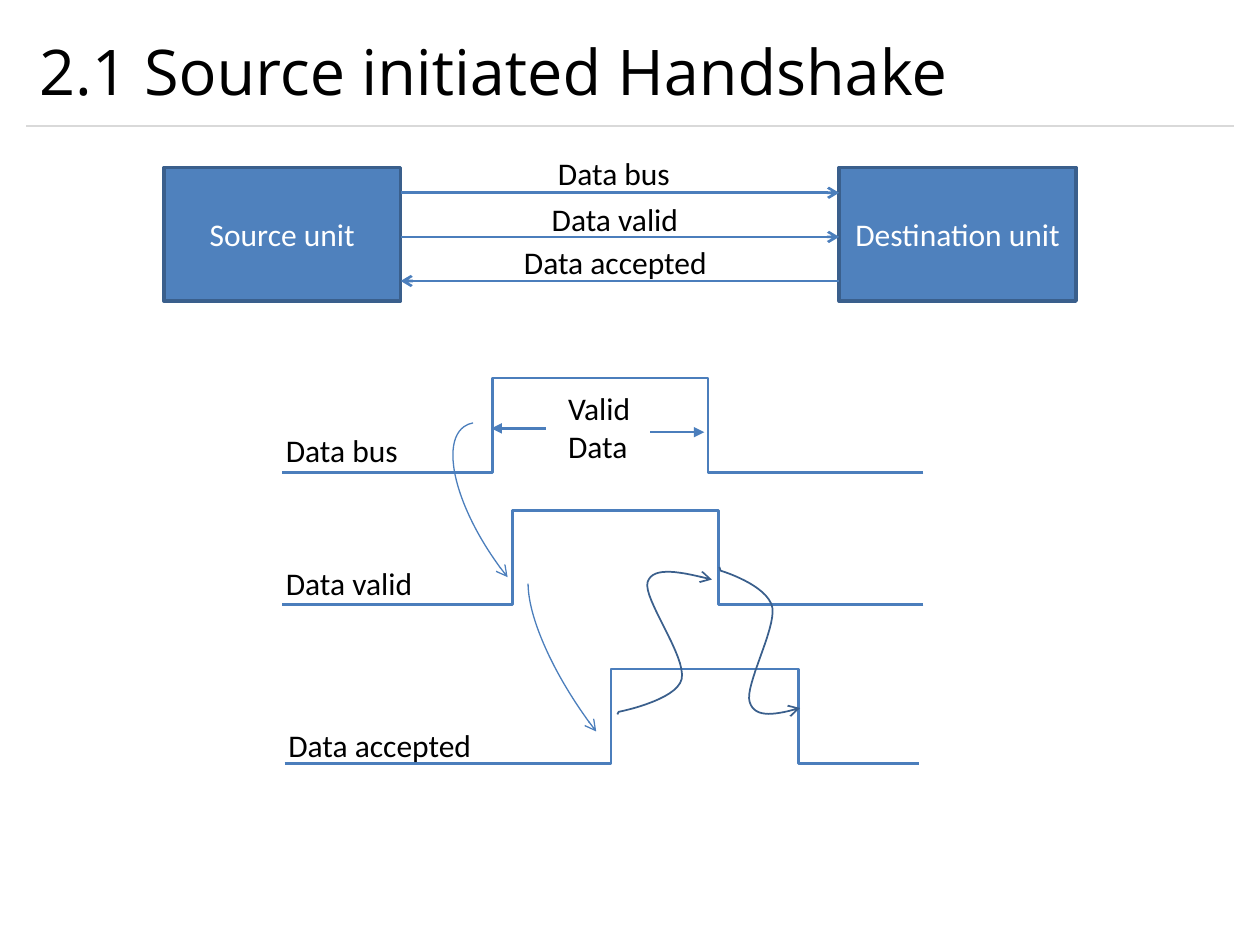
from typing import NamedTuple

import pptx
import pptx.dml.color
import pptx.enum.shapes
import pptx.enum.text
import pptx.oxml
import pptx.oxml.ns
import pptx.util

SHAPE = pptx.enum.shapes.MSO_SHAPE
CONNECTOR = pptx.enum.shapes.MSO_CONNECTOR
ALIGN = pptx.enum.text.PP_ALIGN
ANCHOR = pptx.enum.text.MSO_ANCHOR

COLORS = {"text": "000000", "white": "FFFFFF", "fill": "4F81BD",
          "signal": "4B7EBC", "edge": "3A5F8C", "rule": "D9D9D9"}
WIDTH, HEIGHT = pptx.util.Inches(10), pptx.util.Inches(7.5)
COLS, ROWS = 100, 75  # lengths below are columns and rows of this grid
PULSE = 7.5
BEZIER_STEPS = 16

Point = tuple[float, float]


class Box(NamedTuple):
    text: str
    x: float
    y: float
    w: float
    h: float


class Wave(NamedTuple):
    """A pulse drawn as two elbow lines that meet at column `join`."""
    start: float
    rise: float
    join: float
    fall: float
    end: float
    base: float


class Arrow(NamedTuple):
    start: Point
    end: Point
    head: str


class Arc(NamedTuple):
    """An ellipse box and the degrees between which its arc runs."""
    x: float
    y: float
    w: float
    h: float
    from_angle: float
    to_angle: float


UNITS = [Box("Source unit", 13, 13.3, 18.8, 10.6),
         Box("Destination unit", 66.6, 13.3, 18.8, 10.6)]
LABELS = [Box("Data bus", 43.3, 11.7, 11.8, 4.2),
          Box("Data valid", 42.8, 15.4, 12.9, 3.6),
          Box("Data accepted", 40.6, 18.8, 17.2, 4.3),
          Box("Valid Data", 44.1, 30.4, 11.8, 4.4),
          Box("Data bus", 21.7, 33.7, 11.8, 4),
          Box("Data valid", 21.7, 44.3, 12.9, 3.6),
          Box("Data accepted", 21.9, 57.1, 17.2, 4.3)]
WAVES = [Wave(22.4, 39.1, 48, 56.2, 73.3, 37.5),
         Wave(22.4, 40.7, 48, 57, 73.3, 48),
         Wave(22.6, 48.5, 53.7, 63.4, 72.9, 60.6)]
ARROWS = [Arrow((31.8, 15.3), (66.6, 15.3), "arrow"),
          Arrow((31.8, 18.8), (66.6, 18.8), "arrow"),
          Arrow((66.6, 22.3), (31.8, 22.3), "arrow"),
          Arrow((51.6, 34.3), (55.9, 34.3), "triangle"),
          Arrow((43.3, 34), (39, 34), "triangle")]
ARCS = [Arc(38.6, 32, 8.2, 20.4, 265.74, 21.08),
        Arc(45.6, 42, 8.4, 24.7, 279.42, 21.08)]
# Each curve: Bezier knots and controls in turn, ending in a short tick.
CURVES = [([(56.5, 46), (54.1, 45.4), (51.8, 44.9), (51.4, 46.2),
            (51, 47.5), (54.5, 52.1), (54.1, 53.9),
            (53.7, 55.6), (49.1, 56.5), (49.1, 56.5)], (49, 56.7)),
          ([(63.5, 56.2), (61.7, 56.7), (59.9, 57.1), (59.5, 55.7),
            (59.1, 54.4), (61.6, 49.9), (61.3, 48.2),
            (60.9, 46.4), (57.2, 45.3), (57.2, 45.3)], (57.1, 45))]


def cx(col: float) -> int:
    return round(WIDTH * col / COLS)


def cy(row: float) -> int:
    return round(HEIGHT * row / ROWS)


def rgb(name: str) -> pptx.dml.color.RGBColor:
    return pptx.dml.color.RGBColor.from_string(COLORS[name])


def style_line(shape, color: str, points: float, **ends: str) -> None:
    """Color a line; ends maps headEnd or tailEnd to an arrowhead type."""
    shape.line.color.rgb = rgb(color)
    shape.line.width = pptx.util.Pt(points)
    ln = shape.line._get_or_add_ln()
    for tag, kind in ends.items():
        end = pptx.oxml.parse_xml(f'<a:{tag} {pptx.oxml.ns.nsdecls("a")}/>')
        end.set("type", kind)
        ln.append(end)


def write(shape, text: str, color: str = "text", size: float = 18,
          font: str = "Calibri", align=ALIGN.LEFT, anchor=ANCHOR.TOP) -> None:
    tf = shape.text_frame
    for name, value in {"word_wrap": True, "vertical_anchor": anchor}.items():
        setattr(tf, name, value)
    p = tf.paragraphs[0]
    p.alignment = align
    r = p.add_run()
    r.text = text
    for name, value in {"name": font, "size": pptx.util.Pt(size)}.items():
        setattr(r.font, name, value)
    r.font.color.rgb = rgb(color)


def add_line(s, start: Point, end: Point, kind=CONNECTOR.STRAIGHT):
    line = s.shapes.add_connector(kind, cx(start[0]), cy(start[1]),
                                  cx(end[0]), cy(end[1]))
    line._element.spPr.append(pptx.oxml.parse_xml(
        f'<a:effectLst {pptx.oxml.ns.nsdecls("a")}/>'))
    return line


def add_elbow(s, start: Point, end: Point, bend: float) -> None:
    line = add_line(s, start, end, CONNECTOR.ELBOW)
    share = (bend - start[0]) / (end[0] - start[0])
    guides = line._element.spPr.prstGeom.get_or_add_avLst()
    guides.append(pptx.oxml.parse_xml(
        f'<a:gd {pptx.oxml.ns.nsdecls("a")} name="adj1" '
        f'fmla="val {round(share * 100000)}"/>'))
    style_line(line, "signal", 1.5)


def add_wave(s, wave: Wave) -> None:
    top = (wave.join, wave.base - PULSE)
    add_elbow(s, (wave.start, wave.base), top, wave.rise)
    add_elbow(s, (wave.end, wave.base), top, wave.fall)


def add_unit(s, box: Box) -> None:
    sp = s.shapes.add_shape(SHAPE.RECTANGLE, cx(box.x), cy(box.y),
                            cx(box.w), cy(box.h))
    sp.shadow.inherit = False
    sp.fill.solid()
    sp.fill.fore_color.rgb = rgb("fill")
    style_line(sp, "edge", 2)
    write(sp, box.text, "white", align=ALIGN.CENTER, anchor=ANCHOR.MIDDLE)


def add_label(s, box: Box) -> None:
    write(s.shapes.add_textbox(cx(box.x), cy(box.y), cx(box.w), cy(box.h)),
          box.text)


def add_arc(s, arc: Arc) -> None:
    sp = s.shapes.add_shape(SHAPE.ARC, cx(arc.x), cy(arc.y),
                            cx(arc.w), cy(arc.h))
    sp.shadow.inherit = False
    sp.rotation = 144.9
    sp._element.spPr.xfrm.set("flipV", "1")
    for i, angle in enumerate((arc.from_angle, arc.to_angle)):
        sp.adjustments[i] = angle * 0.6  # 60000ths of a degree / 100000
    sp.fill.background()
    style_line(sp, "signal", 0.75, tailEnd="arrow")


def bezier(a: Point, b: Point, c: Point, d: Point, t: float) -> Point:
    u = 1 - t
    x, y = (u**3 * a[i] + 3 * u * u * t * b[i] + 3 * u * t * t * c[i]
            + t**3 * d[i] for i in (0, 1))
    return x, y


def add_curve(s, knots: list[Point], tick: Point) -> None:
    points = [bezier(*knots[i:i + 4], step / BEZIER_STEPS)
              for i in range(0, len(knots) - 1, 3)
              for step in range(1, BEZIER_STEPS + 1)] + [tick]
    builder = s.shapes.build_freeform(cx(knots[0][0]), cy(knots[0][1]))
    builder.add_line_segments([(cx(x), cy(y)) for x, y in points], close=False)
    sp = builder.convert_to_shape()
    sp.shadow.inherit = False
    sp.fill.background()
    style_line(sp, "edge", 1, headEnd="arrow")


def main() -> None:
    prs = pptx.Presentation()
    prs.slide_width, prs.slide_height = WIDTH, HEIGHT
    s = prs.slides.add_slide(prs.slide_layouts[5])
    style_line(add_line(s, (2.1, 10), (97.9, 10)), "rule", 0.75)
    title = s.shapes.title
    place = {"left": cx(2.1), "top": cy(1.2), "width": cx(95.8), "height": cy(8.8)}
    for name, value in place.items():
        setattr(title, name, value)
    write(title, "2.1 Source initiated Handshake", size=36, font="Open Sans",
          anchor=ANCHOR.MIDDLE)
    for unit in UNITS:
        add_unit(s, unit)
    for arrow in ARROWS:
        style_line(add_line(s, arrow.start, arrow.end), "signal", 1.5,
                   tailEnd=arrow.head)
    for wave in WAVES:
        add_wave(s, wave)
    for label in LABELS:
        add_label(s, label)
    for arc in ARCS:
        add_arc(s, arc)
    for knots, tick in CURVES:
        add_curve(s, knots, tick)
    prs.save("out.pptx")


if __name__ == "__main__":
    main()
